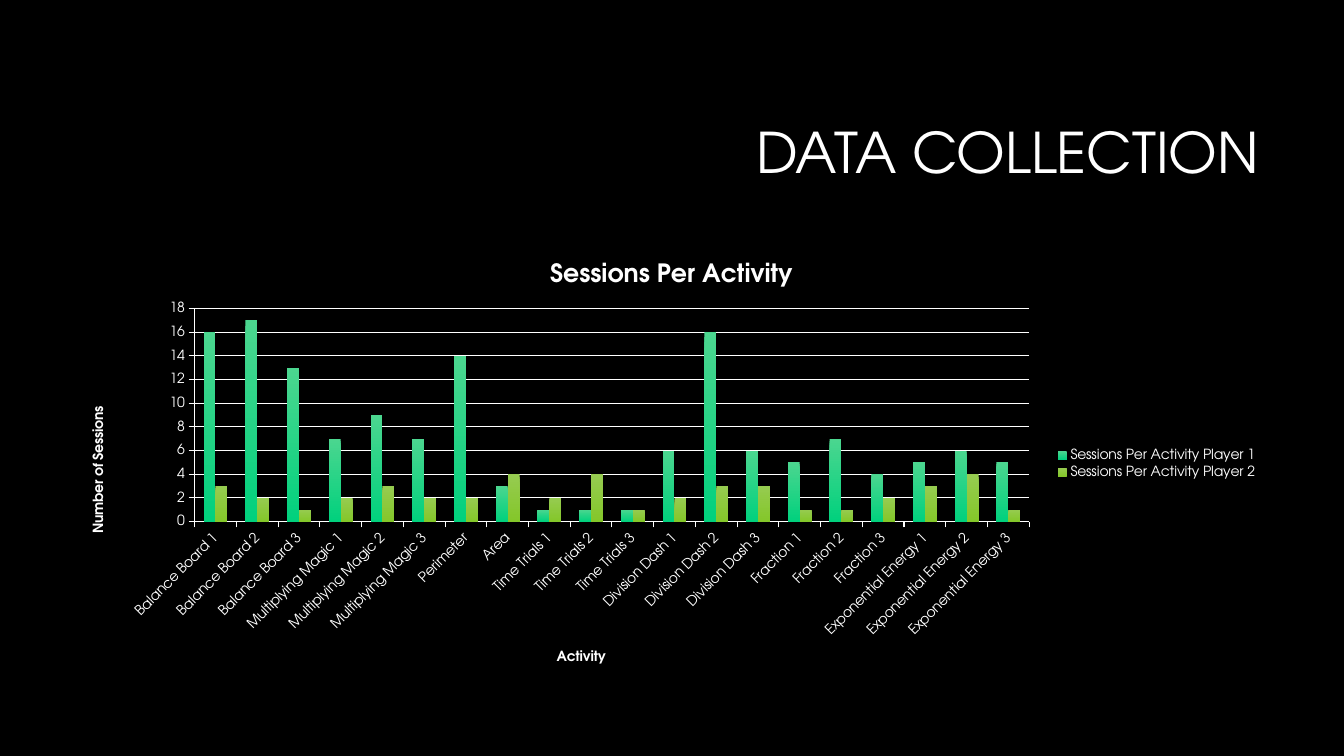
from lxml import etree
from pptx import Presentation
from pptx.chart.data import CategoryChartData
from pptx.dml.color import RGBColor
from pptx.enum.chart import XL_CHART_TYPE as ChartType
from pptx.enum.chart import XL_LEGEND_POSITION as LegendPosition
from pptx.enum.chart import XL_TICK_MARK as TickMark
from pptx.enum.text import MSO_ANCHOR as Anchor
from pptx.enum.text import PP_ALIGN as Align
from pptx.oxml import parse_xml
from pptx.oxml.ns import nsdecls, qn
from pptx.util import Cm, Pt

FONT = "TeX Gyre Adventor"
WHITE, BLACK = "FFFFFF", "000000"

TITLE = "DATA COLLECTION"
CHART_TITLE = "Sessions Per Activity"
AXIS_TITLES = {"category": "Activity", "value": "Number of Sessions"}

# activity, sessions of player 1, sessions of player 2
SESSIONS = [
    ("Balance Board 1", 16, 3),
    ("Balance Board 2", 17, 2),
    ("Balance Board 3", 13, 1),
    ("Multiplying Magic 1", 7, 2),
    ("Multiplying Magic 2", 9, 3),
    ("Multiplying Magic 3", 7, 2),
    ("Perimeter", 14, 2),
    ("Area", 3, 4),
    ("Time Trials 1", 1, 2),
    ("Time Trials 2", 1, 4),
    ("Time Trials 3", 1, 1),
    ("Division Dash 1", 6, 2),
    ("Division Dash 2", 16, 3),
    ("Division Dash 3", 6, 3),
    ("Fraction 1", 5, 1),
    ("Fraction 2", 7, 1),
    ("Fraction 3", 4, 2),
    ("Exponential Energy 1", 5, 3),
    ("Exponential Energy 2", 6, 4),
    ("Exponential Energy 3", 5, 1),
]
# series name, top and bottom colour of its bars
PLAYERS = [
    ("Sessions Per Activity Player 1", "4BD68F", "01D17D"),
    ("Sessions Per Activity Player 2", "96CB50", "84C72A"),
]
PLOT_AREA = {"x": 0.1, "y": 0.15, "w": 0.7, "h": 0.48}


def color(hex_string):
    """Turn a hex string into a colour."""
    return RGBColor.from_string(hex_string)


def style_font(font, size, bold=False):
    """Give a font the deck's typeface in white."""
    font.name, font.size, font.bold = FONT, Pt(size), bold
    font.color.rgb = color(WHITE)


def write_title(owner, text, size):
    """Write the bold title of a chart or an axis."""
    frame = (owner.chart_title if hasattr(owner, "chart_title")
             else owner.axis_title).text_frame
    frame.text = text
    style_font(frame.paragraphs[0].font, size, bold=True)


def style_axis(axis, title):
    """Set the title, labels, ticks and line of an axis."""
    write_title(axis, title, 10)
    style_font(axis.tick_labels.font, 10)
    axis.major_tick_mark = TickMark.OUTSIDE
    axis.minor_tick_mark = TickMark.NONE
    axis.format.line.color.rgb = color(WHITE)
    axis.format.line.width = Pt(0.75)


def place_plot(chart, area):
    """Fix the inner plot area, as fractions of the chart."""
    plot_area = chart._chartSpace.chart.plotArea
    for layout in plot_area.findall(qn("c:layout")):
        plot_area.remove(layout)
    layout = parse_xml(
        f'<c:layout {nsdecls("c")}><c:manualLayout/></c:layout>')
    settings = {"layoutTarget": "inner", "xMode": "edge", "yMode": "edge", **area}
    for name, value in settings.items():
        etree.SubElement(layout[0], qn(f"c:{name}")).set("val", str(value))
    plot_area.insert(0, layout)


def add_title(page):
    """Move and format the title placeholder."""
    box = page.shapes.title
    box.left, box.top, box.width, box.height = Cm(8.05), Cm(2.13), Cm(23.93), Cm(3.58)
    frame = box.text_frame
    frame.text = TITLE
    frame.vertical_anchor = Anchor.MIDDLE
    para = frame.paragraphs[0]
    para.alignment = Align.RIGHT
    para.line_spacing = 0.9
    style_font(para.font, 40)


def add_sessions_chart(page):
    """Add the column chart of sessions per activity."""
    data = CategoryChartData()
    activities, *counts = zip(*SESSIONS)
    data.categories = activities
    for (name, _, _), values in zip(PLAYERS, counts):
        data.add_series(name, values)
    chart = page.shapes.add_chart(
        ChartType.COLUMN_CLUSTERED, Cm(1.9), Cm(6.1), Cm(30.05), Cm(11.18), data).chart
    style_font(chart.font, 10)
    write_title(chart, CHART_TITLE, 18)

    style_axis(chart.category_axis, AXIS_TITLES["category"])
    chart.category_axis._element.txPr.bodyPr.set("rot", str(-45 * 60000))
    scale = chart.value_axis
    style_axis(scale, AXIS_TITLES["value"])
    scale.minimum_scale, scale.maximum_scale, scale.major_unit = 0, 18, 2
    scale.has_major_gridlines = True
    scale.major_gridlines.format.line.color.rgb = color(WHITE)
    scale.major_gridlines.format.line.width = Pt(0.75)

    chart.has_legend = True
    chart.legend.position = LegendPosition.RIGHT
    chart.legend.include_in_layout = False
    style_font(chart.legend.font, 10)

    plot = chart.plots[0]
    plot.gap_width, plot.overlap, plot.vary_by_categories = 150, 0, False
    for series, (_, *shades) in zip(plot.series, PLAYERS):
        fill = series.format.fill
        fill.gradient()
        fill.gradient_angle = 270
        for stop, shade in zip(fill.gradient_stops, shades):
            stop.color.rgb = color(shade)
    place_plot(chart, PLOT_AREA)


deck = Presentation()
deck.slide_width, deck.slide_height = Cm(33.87), Cm(19.05)
page = deck.slides.add_slide(deck.slide_layouts.get_by_name("Title Only"))
page.background.fill.solid()
page.background.fill.fore_color.rgb = color(BLACK)
add_title(page)
add_sessions_chart(page)
deck.save("out.pptx")
